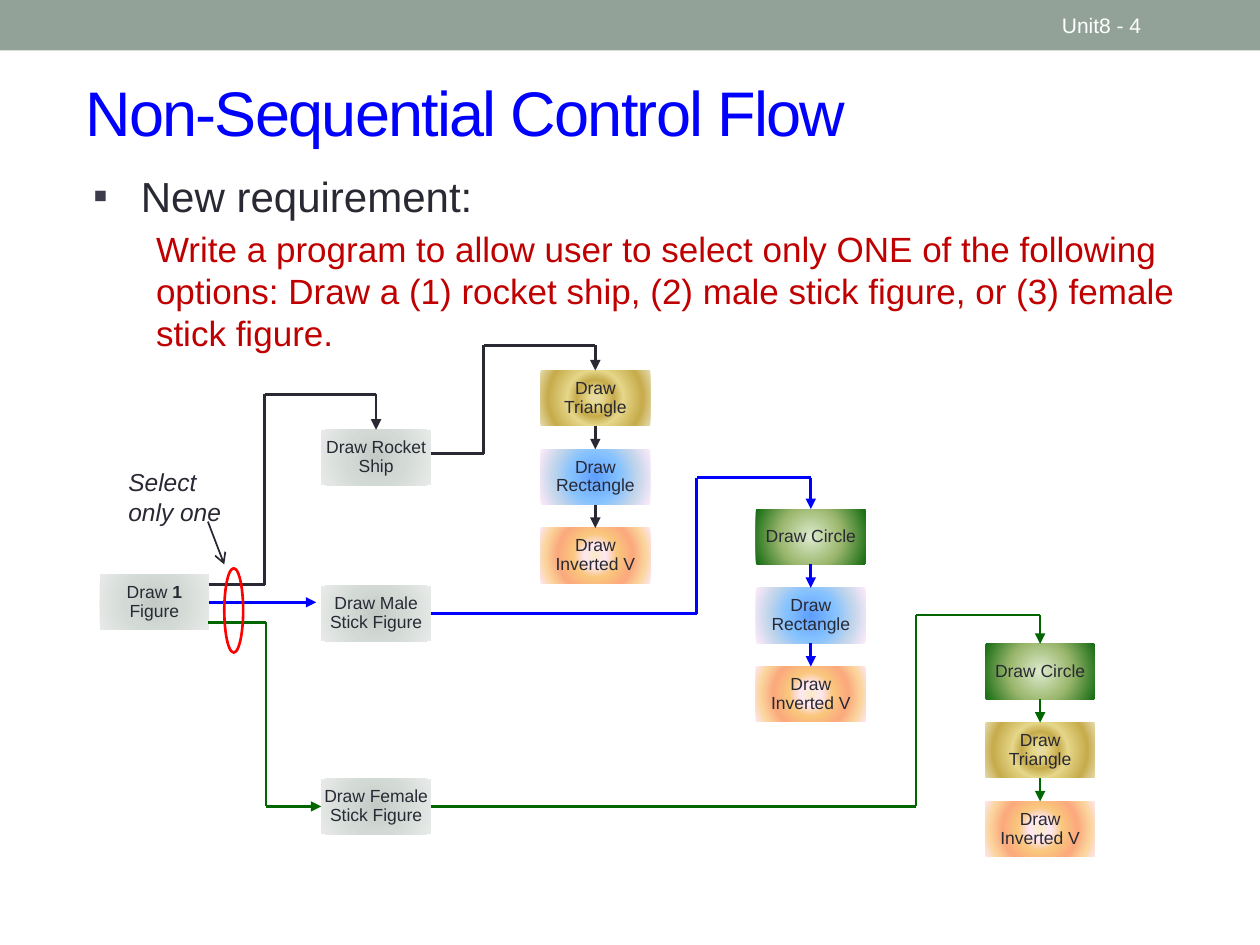
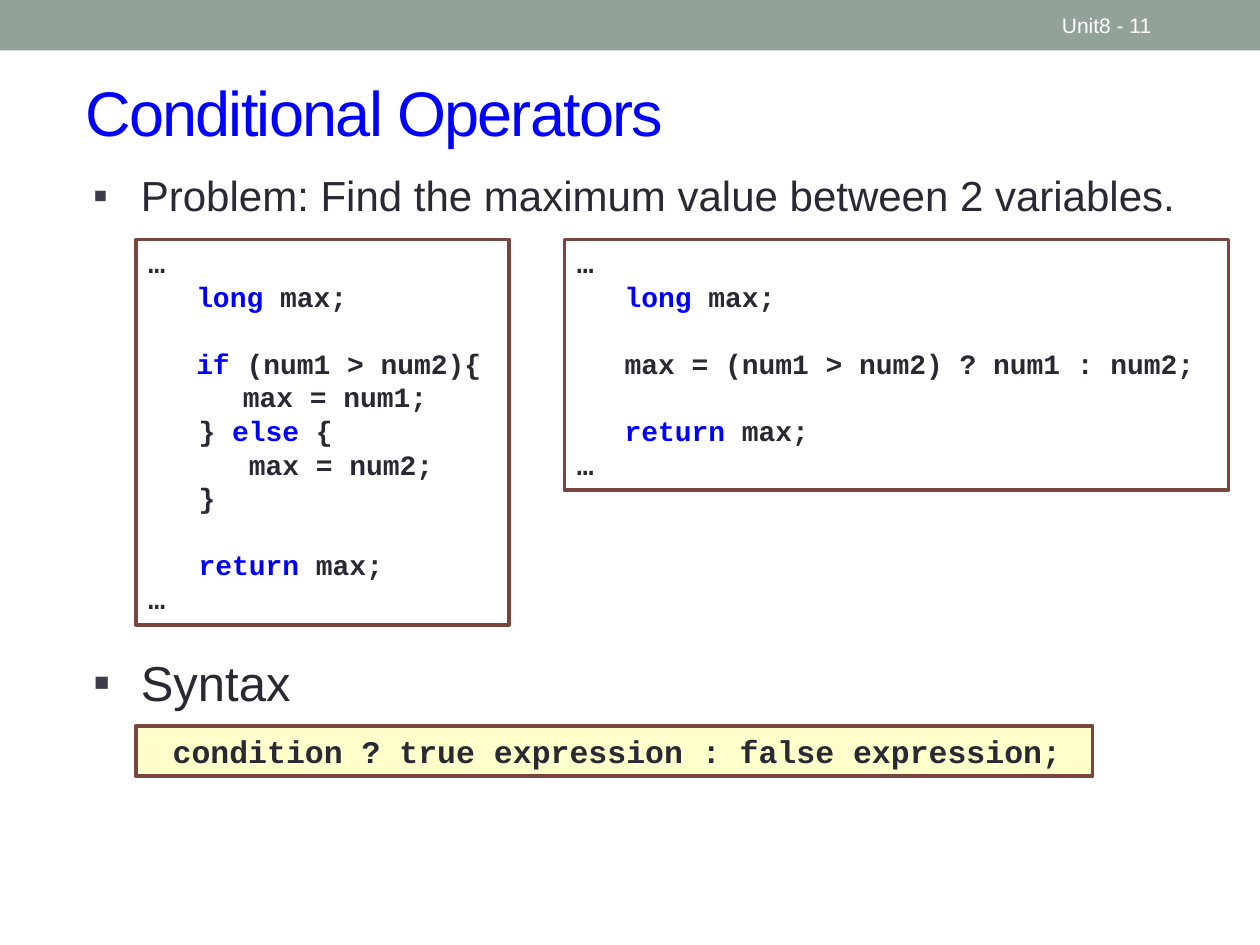
from lxml import etree
from pptx import Presentation
from pptx.dml.color import RGBColor
from pptx.enum.shapes import MSO_CONNECTOR, MSO_SHAPE
from pptx.enum.text import MSO_ANCHOR, PP_ALIGN
from pptx.oxml.ns import qn
from pptx.util import Inches, Pt

RECT, OVAL = MSO_SHAPE.RECTANGLE, MSO_SHAPE.OVAL
LINE = MSO_CONNECTOR.STRAIGHT
TOP, MID = MSO_ANCHOR.TOP, MSO_ANCHOR.MIDDLE
LEFT, CENTER = PP_ALIGN.LEFT, PP_ALIGN.CENTER
SANS, MONO = "Arial", "Courier New"

SAGE = RGBColor(0x93, 0xA2, 0x99)
WHITE = RGBColor(0xFF, 0xFF, 0xFF)
INK = RGBColor(0x29, 0x29, 0x34)
SLATE = RGBColor(0x3B, 0x3B, 0x4B)
BLUE = RGBColor(0x00, 0x00, 0xFF)
GREEN = RGBColor(0x00, 0x66, 0x00)
RED = RGBColor(0xFF, 0x00, 0x00)
BRICK = RGBColor(0xC0, 0x00, 0x00)
BROWN = RGBColor(0x79, 0x46, 0x3D)
CREAM = RGBColor(0xFF, 0xFF, 0xCC)

# Radial fills as (percent, colour) stops from the centre outward
GREY = [(0, "C4CAC6"), (45, "D3DAD6"), (100, "E7EAE8")]
GOLD = [(0, "E6DCAC"), (12, "E6D78A"), (30, "C7AC4C"), (45, "E6D78A"),
        (77, "C7AC4C"), (100, "E6DCAC")]
SKY = [(0, "5E9EFF"), (40, "85C2FF"), (70, "C4D6EB"), (100, "FFEBFA")]
PEACH = [(0, "FBEAC7"), (18, "FEE7F2"), (36, "FAC77D"), (61, "FBA97D"),
         (82, "FBD49C"), (100, "FEE7F2")]
LEAF = [(0, "DDEBCF"), (50, "9CB86E"), (100, "156B13")]


def draw(slide, kind, x, y, w, h, fill=None, edge=None, width=1.5):
    """Add a preset shape; a list as fill gives a radial gradient."""
    shape = slide.shapes.add_shape(kind, Inches(x), Inches(y), Inches(w), Inches(h))
    shape.shadow.inherit = False
    if isinstance(fill, list):
        shape.fill.gradient()
        grad = shape.fill._xPr.find(qn("a:gradFill"))
        for child in list(grad):
            grad.remove(child)
        stops = etree.SubElement(grad, qn("a:gsLst"))
        for share, tone in fill:
            stop = etree.SubElement(stops, qn("a:gs"), pos=str(share * 1000))
            etree.SubElement(stop, qn("a:srgbClr"), val=tone)
        ring = etree.SubElement(grad, qn("a:path"), path="circle")
        etree.SubElement(ring, qn("a:fillToRect"), l="50000", t="50000",
                         r="50000", b="50000")
    elif fill is not None:
        shape.fill.solid()
        shape.fill.fore_color.rgb = fill
    else:
        shape.fill.background()
    if edge is None:
        shape.line.fill.background()
    else:
        shape.line.color.rgb = edge
        shape.line.width = Pt(width)
    return shape


def write(shape, paras, size, color=INK, face=SANS, bold=None, anchor=TOP,
          align=LEFT, bullet=False, tabs=()):
    """Fill a shape with paragraphs, each a list of (text, colour) runs."""
    frame = shape.text_frame
    frame.word_wrap = True
    frame.vertical_anchor = anchor
    for i, runs in enumerate(paras):
        para = frame.paragraphs[0] if i == 0 else frame.add_paragraph()
        para.alignment = align
        props = para._p.get_or_add_pPr()
        if bullet:
            props.set("marL", str(Inches(0.38)))
            props.set("indent", str(Inches(-0.38)))
            tint = etree.SubElement(props, qn("a:buClr"))
            etree.SubElement(tint, qn("a:srgbClr"), val=str(SLATE))
            etree.SubElement(props, qn("a:buFont"), typeface=SANS)
            etree.SubElement(props, qn("a:buChar"), char="▪")
        if tabs:
            stops = etree.SubElement(props, qn("a:tabLst"))
            for stop in tabs:
                etree.SubElement(stops, qn("a:tab"), pos=str(Inches(stop)), algn="l")
        font = para.font
        font.name, font.size, font.bold = face, Pt(size), bold
        font.color.rgb = color
        for text, tone in runs:
            run = para.add_run()
            run.text = text
            if tone != color:
                run.font.color.rgb = tone
    return frame


deck = Presentation()
deck.slide_width, deck.slide_height = Inches(10), Inches(7.5)

# Band, title and page label on both slides
pages = []
for title, label in [("Non-Sequential Control Flow", "Unit8 - 4"),
                     ("Conditional Operators", "Unit8 - 11")]:
    page = deck.slides.add_slide(deck.slide_layouts[6])
    draw(page, RECT, 0, 0, 10, 0.4, SAGE)
    head = draw(page, RECT, 0.58, 0.42, 9.17, 0.92)
    frame = write(head, [[(title, BLUE)]], 36, BLUE, anchor=MID)
    frame.paragraphs[0].runs[0].font._element.set("spc", "-100")
    note = draw(page, RECT, 8.33, 0.02, 1.17, 0.36)
    write(note, [[(label, WHITE)]], 12, WHITE, anchor=MID)
    pages.append(page)
flow, cond = pages

# Slide 1: requirement
body = draw(flow, RECT, 0.64, 1.3, 9.07, 1.55)
frame = write(body, [[("New requirement:", INK)]], 24, bullet=True)
task = frame.add_paragraph()
task.text = ("Write a program to allow user to select only ONE of the following "
             "options: Draw a (1) rocket ship, (2) male stick figure, "
             "or (3) female stick figure.")
task.alignment = LEFT
task.space_before = Pt(4)
task._p.get_or_add_pPr().set("marL", str(Inches(0.5)))
task.font.name, task.font.size = SANS, Pt(20)
task.font.color.rgb = BRICK

# Boxes: columns of steps, each column stacked at one pitch
W, H, PITCH = 0.87, 0.44, 0.625
TRI, BAR = ("Draw Triangle", GOLD), ("Draw Rectangle", SKY)
VEE, RING = ("Draw Inverted V", PEACH), ("Draw Circle", LEAF)
STACKS = [
    (0.79, 4.56, INK, [("Draw 1 Figure", GREY)]),
    (2.55, 3.41, INK, [("Draw Rocket Ship", GREY)]),
    (2.55, 4.65, INK, [("Draw Male Stick Figure", GREY)]),
    (2.55, 6.18, INK, [("Draw Female Stick Figure", GREY)]),
    (4.29, 2.94, INK, [TRI, BAR, VEE]),
    (6.0, 4.04, BLUE, [RING, BAR, VEE]),
    (7.82, 5.11, GREEN, [RING, TRI, VEE]),
]
firsts, routes = [], []
for x, y, color, steps in STACKS:
    last = None
    for row, (text, fill) in enumerate(steps):
        top = y + row * PITCH
        box = draw(flow, RECT, x, top, W, H, fill)
        runs = [(part, INK) for part in text.partition("1") if part]
        frame = write(box, [runs], 10, anchor=MID, align=CENTER)
        frame.margin_left = frame.margin_right = Inches(0.01)
        frame.margin_top = frame.margin_bottom = Inches(0.01)
        frame.paragraphs[0].line_spacing = 0.9
        for run in frame.paragraphs[0].runs:
            if run.text == "1":
                run.font.bold = True
        if last is None:
            firsts.append(box)
        else:
            mid = x + W / 2
            routes.append((color, [(mid, top - PITCH + H), (mid, top)],
                           (last, 2), (box, 0)))
        last = box
pick, ship, male, girl, ship_top, male_top, girl_top = firsts

# Routes: corner points, then the box sides they join
routes += [
    (INK, [(1.66, 4.64), (2.1, 4.64), (2.1, 3.13), (2.985, 3.13), (2.985, 3.41)],
     None, (ship, 0)),
    (BLUE, [(1.66, 4.78), (2.51, 4.78)], (pick, 3), None),
    (GREEN, [(1.65, 4.94), (2.11, 4.94), (2.11, 6.4), (2.55, 6.4)],
     None, (girl, 1)),
    (INK, [(3.42, 3.6), (3.84, 3.6), (3.84, 2.74), (4.725, 2.74), (4.725, 2.94)],
     None, (ship_top, 0)),
    (BLUE, [(3.42, 4.87), (5.53, 4.87), (5.53, 3.79), (6.435, 3.79), (6.435, 4.04)],
     (male, 3), (male_top, 0)),
    (GREEN, [(3.42, 6.4), (7.27, 6.4), (7.27, 4.88), (8.255, 4.88), (8.255, 5.11)],
     (girl, 3), (girl_top, 0)),
    (INK, [(1.65, 4.14), (1.78, 4.48)], None, None),
]
for color, points, start, end in routes:
    for i, (a, b) in enumerate(zip(points, points[1:])):
        final = i == len(points) - 2
        link = flow.shapes.add_connector(LINE, *[Inches(v) for v in a + b])
        if start and i == 0:
            link.begin_connect(*start)
        if end and final:
            link.end_connect(*end)
        slant = a[0] != b[0] and a[1] != b[1]
        link.line.color.rgb = color
        link.line.width = Pt(1 if slant else 1.5)
        if final:
            etree.SubElement(link.line._get_or_add_ln(), qn("a:tailEnd"),
                             type="arrow" if slant else "triangle")
        etree.SubElement(link._element.spPr, qn("a:effectLst"))

# Choice marker
draw(flow, OVAL, 1.78, 4.51, 0.15, 0.67, edge=RED)
hint = draw(flow, RECT, 0.92, 3.66, 1.08, 0.57)
frame = write(hint, [[("Select only one", INK)]], 14)
frame.paragraphs[0].font.italic = True

# Slide 2: headings
for y, h, size, text in [
        (1.3, 0.6, 24, "Problem: Find the maximum value between 2 variables."),
        (5.13, 0.54, 28, "Syntax")]:
    head = draw(cond, RECT, 0.64, y, 9.17, h)
    write(head, [[(text, INK)]], size, bullet=True)

# Code panels; gaps lists the lines that follow an open line
DOTS = [("…", INK)]
LONG = [("\t", INK), ("long", BLUE), (" max;", INK)]
BRANCH = [
    DOTS, LONG,
    [("\t", INK), ("if", BLUE), (" (num1 > num2){", INK)],
    [("\t\tmax = num1;", INK)],
    [("   } ", INK), ("else", BLUE), (" {", INK)],
    [("      max = num2;", INK)],
    [("   }", INK)],
    [("   ", INK), ("return", BLUE), (" max;", INK)],
    DOTS,
]
SHORT = [
    DOTS, LONG,
    [("\tmax = (num1 > num2) ? num1 : num2;", INK)],
    [("\t", INK), ("return", BLUE), (" max;", INK)],
    DOTS,
]
for x, w, h, lines, gaps in [(1.08, 2.96, 3.06, BRANCH, (2, 7)),
                             (4.48, 5.27, 1.99, SHORT, (2, 3))]:
    panel = draw(cond, RECT, x, 1.9, w, h, WHITE, BROWN, 2.08)
    frame = write(panel, lines, 16, face=MONO, bold=True, tabs=(0.38, 0.75))
    for gap in gaps:
        frame.paragraphs[gap].space_before = Pt(19.2)

# Syntax panel
rule = draw(cond, RECT, 1.08, 5.76, 7.59, 0.4, CREAM, BROWN, 2.08)
frame = write(rule, [[("condition ? true expression : false expression;", INK)]],
              18, face=MONO, bold=True)
frame.margin_left = Inches(0.29)

deck.save("out.pptx")
